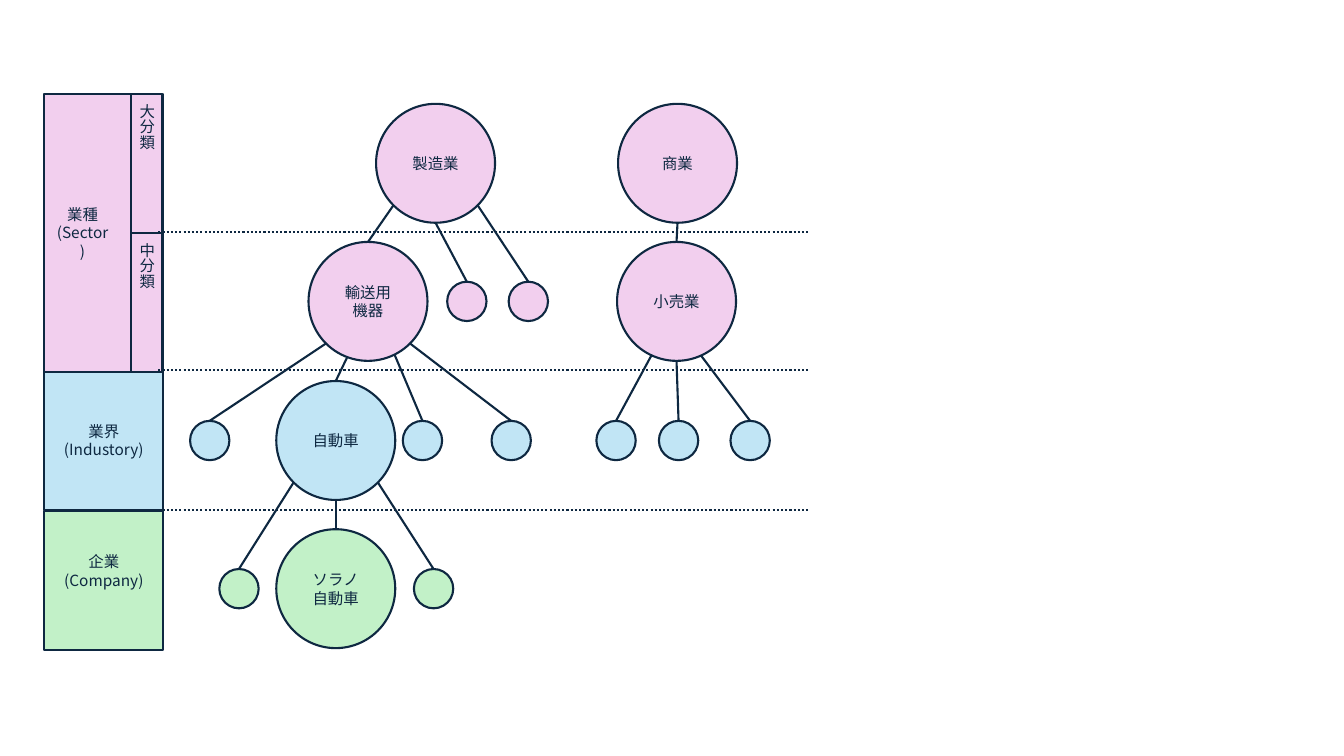
from dataclasses import dataclass

from lxml import etree
from pptx import Presentation
from pptx.dml.color import RGBColor
from pptx.enum.dml import MSO_LINE
from pptx.enum.shapes import MSO_CONNECTOR, MSO_SHAPE
from pptx.enum.text import MSO_ANCHOR, PP_ALIGN
from pptx.oxml.ns import qn
from pptx.shapes.autoshape import Shape
from pptx.util import Inches, Pt

RECT, OVAL = MSO_SHAPE.RECTANGLE, MSO_SHAPE.OVAL
STRAIGHT = MSO_CONNECTOR.STRAIGHT
DOTS = MSO_LINE.ROUND_DOT
CENTER, MIDDLE = PP_ALIGN.CENTER, MSO_ANCHOR.MIDDLE

FONT = "Noto Sans CJK JP"
NAVY, PINK, BLUE, GREEN = "0E2841", "F2CFEE", "C1E5F5", "C2F1C8"
BIG, SMALL = 1.18, 0.39
ROWS = [(1.62, PINK), (2.99, PINK), (4.37, BLUE), (5.84, GREEN)]


@dataclass
class Band:
    text: str
    left: float
    top: float
    width: float
    height: float
    fill: str
    right: float = 0.1
    bottom: float = 0.05
    upright: bool = False


@dataclass
class Node:
    """A circle; tie is where its link leaves the parent, from the parent's centre."""
    x: float
    row: int
    text: str = ""
    parent: "Node | None" = None
    tie: tuple[float, float] = (0, BIG / 2)

    @property
    def size(self) -> float:
        return BIG if self.text else SMALL

    @property
    def y(self) -> float:
        return ROWS[self.row][0]


BANDS = [
    Band("企業\n(Company)", 0.44, 5.07, 1.18, 1.38, GREEN, bottom=0.24),
    Band("業界\n(Industory)", 0.44, 3.68, 1.18, 1.38, BLUE),
    Band("業種\n(Sector)", 0.44, 0.93, 1.18, 2.76, PINK, right=0.52),
    Band("大分類", 1.3, 0.93, 0.31, 1.38, PINK, upright=True),
    Band("中分類", 1.3, 2.31, 0.31, 1.38, PINK, upright=True),
]

MAKER = Node(4.32, 0, "製造業")
TRADE = Node(6.72, 0, "商業")
MOVER = Node(3.65, 1, "輸送用\n機器", MAKER, (-0.42, 0.42))
RETAIL = Node(6.71, 1, "小売業", TRADE)
CAR = Node(3.33, 2, "自動車", MOVER, (-0.19, 0.52))
NODES = [
    MAKER, TRADE, MOVER, RETAIL, CAR,
    Node(4.63, 1, parent=MAKER),
    Node(5.24, 1, parent=MAKER, tie=(0.42, 0.42)),
    Node(2.08, 2, parent=MOVER, tie=(-0.42, 0.42)),
    Node(4.19, 2, parent=MOVER, tie=(0.26, 0.52)),
    Node(5.07, 2, parent=MOVER, tie=(0.42, 0.42)),
    Node(6.11, 2, parent=RETAIL, tie=(-0.24, 0.52)),
    Node(6.73, 2, parent=RETAIL),
    Node(7.44, 2, parent=RETAIL, tie=(0.23, 0.52)),
    Node(2.37, 3, parent=CAR, tie=(-0.42, 0.42)),
    Node(3.33, 3, "ソラノ\n自動車", CAR),
    Node(4.3, 3, parent=CAR, tie=(0.42, 0.42)),
]

deck = Presentation()
deck.slide_width, deck.slide_height = Inches(13.33), Inches(7.5)
slide = deck.slides.add_slide(deck.slide_layouts[6])


def color(code: str) -> RGBColor:
    return RGBColor.from_string(code)


def add_box(kind: MSO_SHAPE, left: float, top: float, width: float,
            height: float, fill: str, text: str) -> Shape:
    box = slide.shapes.add_shape(
        kind, Inches(left), Inches(top), Inches(width), Inches(height))
    box.shadow.inherit = False
    box.fill.solid()
    box.fill.fore_color.rgb = color(fill)
    box.line.color.rgb = color(NAVY)
    box.line.width = Pt(1.5)
    if text:
        frame = box.text_frame
        frame.text = text
        frame.word_wrap = True
        frame.vertical_anchor = MIDDLE
        for para in frame.paragraphs:
            para.alignment = CENTER
            para.font.size = Pt(11)
            para.font.name = FONT
            para.font.color.rgb = color(NAVY)
            face = etree.SubElement(para.font._element, qn("a:ea"))
            face.set("typeface", FONT)
    return box


def add_line(x1: float, y1: float, x2: float, y2: float,
             dots: bool = False) -> None:
    line = slide.shapes.add_connector(
        STRAIGHT, Inches(x1), Inches(y1), Inches(x2), Inches(y2))
    line.line.color.rgb = color(NAVY)
    line.line.width = Pt(1.5)
    if dots:
        line.line.dash_style = DOTS
    etree.SubElement(line._element.spPr, qn("a:effectLst"))


def add_band(band: Band) -> None:
    box = add_box(RECT, band.left, band.top, band.width, band.height,
                  band.fill, band.text)
    frame = box.text_frame
    frame.margin_right = Inches(band.right)
    frame.margin_bottom = Inches(band.bottom)
    if band.upright:
        frame._txBody.bodyPr.set("vert", "eaVert")


def add_link(node: Node) -> None:
    if node.parent:
        dx, dy = node.tie
        add_line(node.parent.x + dx, node.parent.y + dy,
                 node.x, node.y - node.size / 2)


def add_node(node: Node) -> None:
    half = node.size / 2
    add_box(OVAL, node.x - half, node.y - half, node.size, node.size,
            ROWS[node.row][1], node.text)


for band in BANDS:
    add_band(band)
for y in (2.3, 3.67, 5.06):
    add_line(1.57, y, 8.03, y, dots=True)
for node in NODES:
    add_link(node)
for node in NODES:
    add_node(node)

deck.save("out.pptx")
